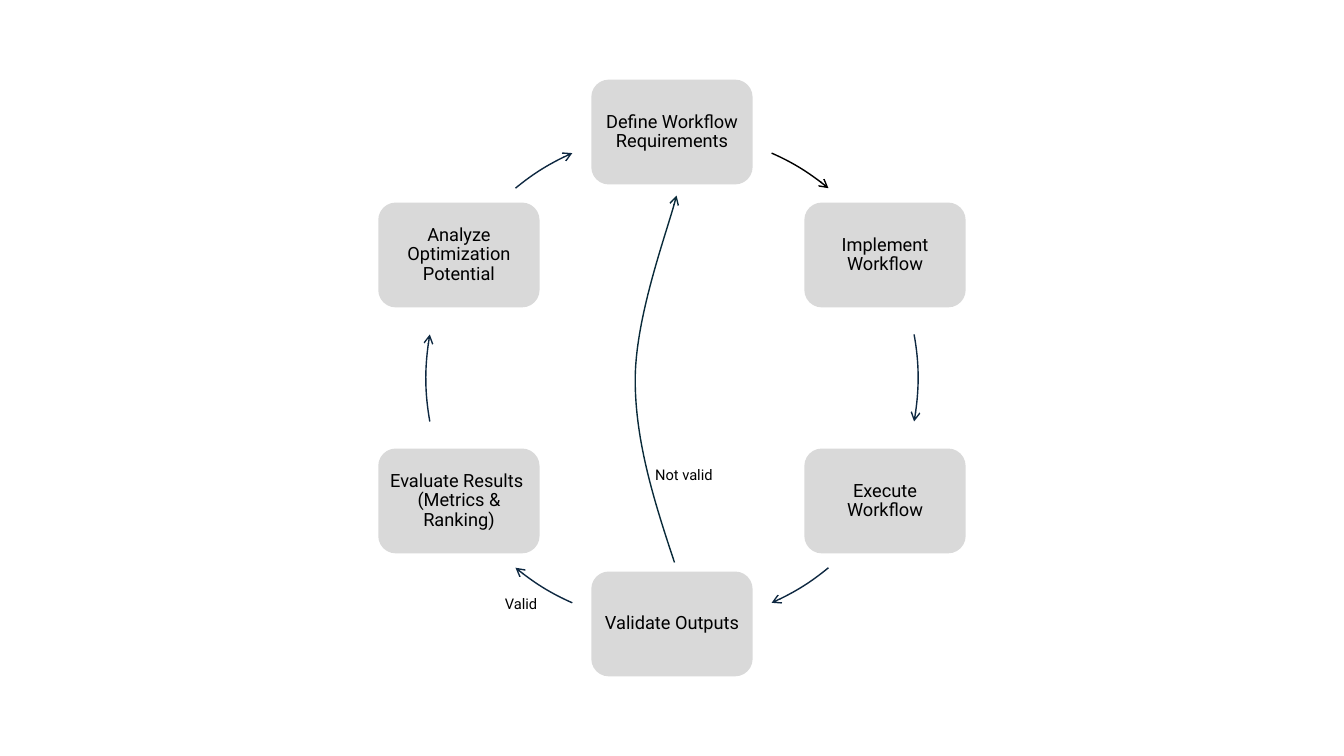
from math import cos, radians, sin, tan

from lxml.etree import SubElement
from pptx import Presentation
from pptx.dml.color import RGBColor
from pptx.enum.shapes import MSO_SHAPE
from pptx.enum.text import MSO_ANCHOR, MSO_AUTO_SIZE, PP_ALIGN
from pptx.oxml.ns import qn
from pptx.util import Inches, Pt

COLORS = {"box": "D9D9D9", "text": "000000", "arrow": "0E2841", "return": "092A39"}
SLIDE_WIDTH, SLIDE_HEIGHT, RADIUS = 13.33, 7.5, 2.44
CENTER_X, CENTER_Y = SLIDE_WIDTH / 2, SLIDE_HEIGHT / 2
BOX_WIDTH, BOX_HEIGHT = 1.6, 1.04

deck = Presentation()
deck.slide_width, deck.slide_height = Inches(SLIDE_WIDTH), Inches(SLIDE_HEIGHT)
page = deck.slides.add_slide(deck.slide_layouts[6])


def add_span(para, text, size):
    span = para.add_run()
    span.text = text
    span.font.name = "Roboto"
    span.font.size = Pt(size)
    span.font.color.rgb = RGBColor.from_string(COLORS["text"])


def add_curved_arrow(left, top, width, height, points, color):
    builder = page.shapes.build_freeform(Inches(left), Inches(top))
    builder.add_line_segments([(Inches(left + width), Inches(top + height))], close=False)
    arrow = builder.convert_to_shape()
    outline = next(arrow.element.iter(qn("a:path")))
    for segment in list(outline):
        outline.remove(segment)
    for index, (x, y) in enumerate(points):
        if index == 0:
            segment = SubElement(outline, qn("a:moveTo"))
        elif index % 3 == 1:
            segment = SubElement(outline, qn("a:cubicBezTo"))
        SubElement(segment, qn("a:pt"), x=str(Inches(x - left)), y=str(Inches(y - top)))
    arrow.shadow.inherit = False
    arrow.fill.background()
    arrow.line.color.rgb = RGBColor.from_string(COLORS[color])
    arrow.line.width = Pt(1)
    SubElement(arrow.line._get_or_add_ln(), qn("a:tailEnd"), type="arrow")


steps = [
    (["Define Workflow Requirements"], 23.9, 39.5, "text"),
    (["Implement Workflow"], 79.8, 100.2, "arrow"),
    (["Execute Workflow"], 140.5, 156.1, "arrow"),
    (["Validate Outputs"], 203.9, 219.5, "arrow"),
    (["Evaluate Results ", "(Metrics & Ranking)"], 259.8, 280.2, "arrow"),
    (["Analyze Optimization Potential"], 320.5, 336.1, "arrow"),
]
for index, (lines, start, end, color) in enumerate(steps):
    turn = radians(60 * index)
    left = CENTER_X + RADIUS * sin(turn) - BOX_WIDTH / 2
    top = CENTER_Y - RADIUS * cos(turn) - BOX_HEIGHT / 2
    box = page.shapes.add_shape(MSO_SHAPE.ROUNDED_RECTANGLE, Inches(left), Inches(top),
                                Inches(BOX_WIDTH), Inches(BOX_HEIGHT))
    box.shadow.inherit = False
    box.fill.solid()
    box.fill.fore_color.rgb = RGBColor.from_string(COLORS["box"])
    box.line.fill.background()
    frame = box.text_frame
    frame.word_wrap = True
    frame.vertical_anchor = MSO_ANCHOR.MIDDLE
    frame.margin_left = frame.margin_right = Inches(0.05)
    frame.margin_top = frame.margin_bottom = Inches(0.05)
    para = frame.paragraphs[0]
    para.alignment = PP_ALIGN.CENTER
    para.line_spacing = 0.9
    for number, line in enumerate(lines):
        if number:
            para.add_line_break()
        add_span(para, line, 13)

    handle = 4 / 3 * tan(radians(end - start) / 4)
    arc = []
    for degrees, pull in [(start, 0), (start, handle), (end, -handle), (end, 0)]:
        angle = radians(degrees)
        arc.append((CENTER_X + RADIUS * (sin(angle) + pull * cos(angle)),
                    CENTER_Y - RADIUS * (cos(angle) - pull * sin(angle))))
    add_curved_arrow(CENTER_X - RADIUS, CENTER_Y - RADIUS, 2 * RADIUS, 2 * RADIUS, arc, color)

return_points = [(6.69, 5.58), (6.49, 4.98), (6.3, 4.38), (6.3, 3.77),
                 (6.3, 3.17), (6.64, 2.23), (6.71, 1.94)]
add_curved_arrow(6.3, 1.94, 0.41, 3.64, return_points, "return")

for text, left, top, width, height in [("Not valid", 6.4, 4.57, 0.79, 0.29),
                                       ("Valid", 4.91, 5.85, 0.52, 0.28)]:
    label = page.shapes.add_textbox(Inches(left), Inches(top), Inches(width), Inches(height))
    label.text_frame.word_wrap = False
    label.text_frame.auto_size = MSO_AUTO_SIZE.SHAPE_TO_FIT_TEXT
    add_span(label.text_frame.paragraphs[0], text, 10.5)

deck.save("out.pptx")
